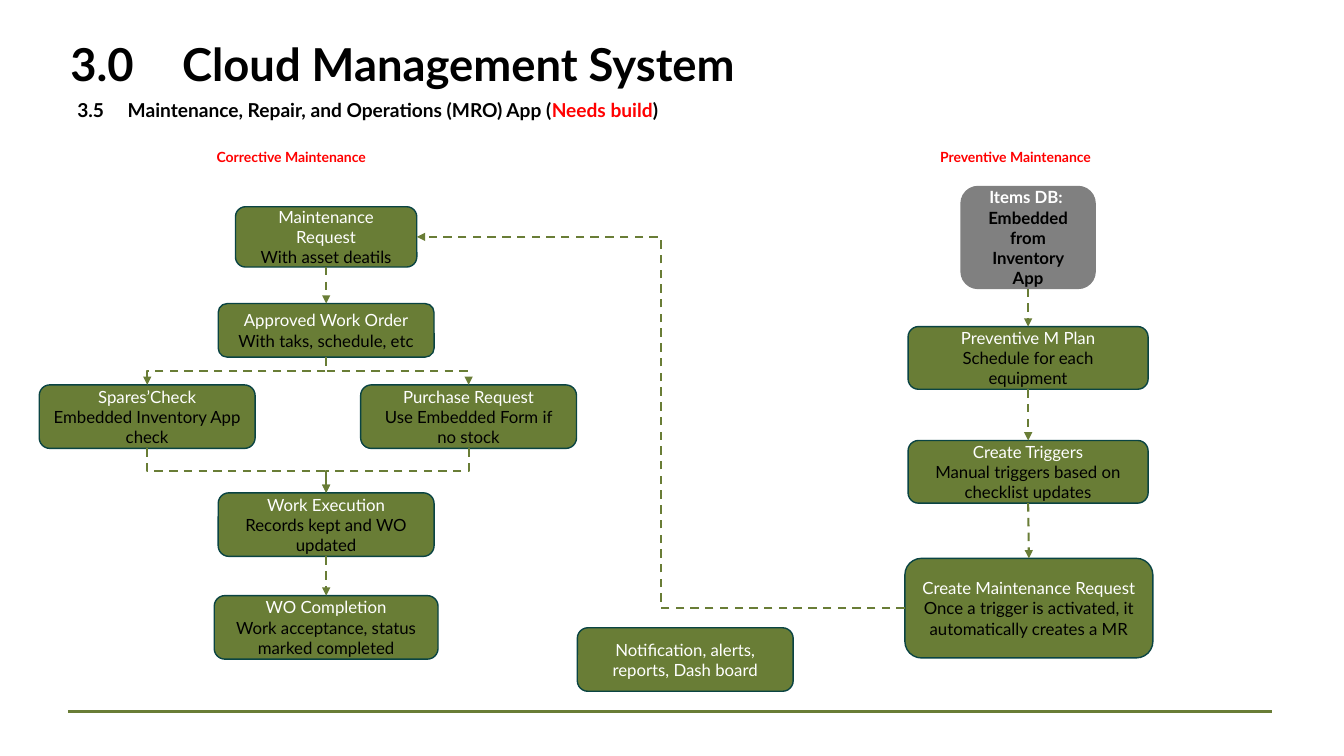
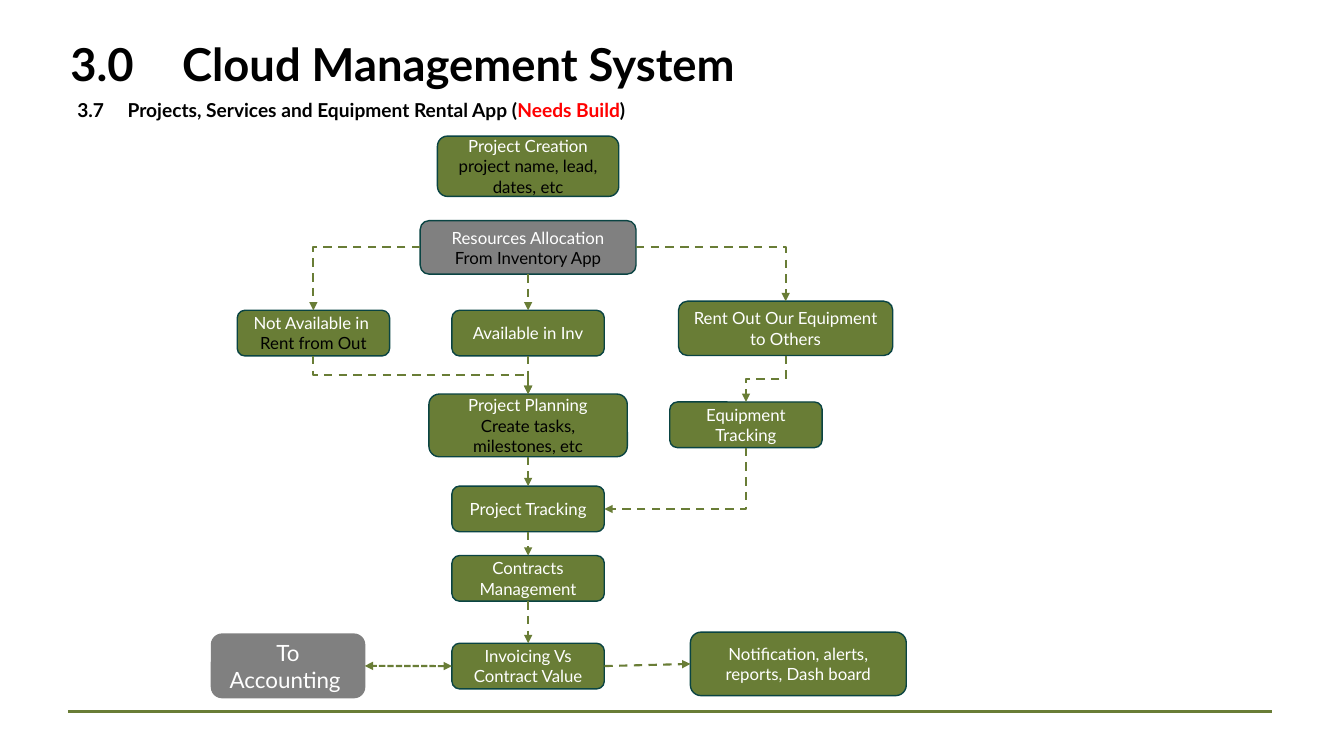
from lxml import etree
from pptx import Presentation
from pptx.dml.color import RGBColor
from pptx.enum import dml, shapes as sh, text as tx
from pptx.oxml.ns import qn
from pptx.util import Cm, Pt

FONT = "Lato"
HEX = {"green": "697D36", "teal": "0A4443", "gray": "808080",
       "white": "FFFFFF", "black": "000000", "red": "FF0000"}
TITLE = "3.0 \t Cloud Management System"
NOTE = ["Notification, alerts, reports, Dash board"]
SITES = "TLBR"

MRO = {
    "sub": ("3.5\tMaintenance, Repair, and Operations (MRO) App (", "Needs build", ")"),
    "labels": [(5.21, "Corrective Maintenance"), (23.44, "Preventive Maintenance")],
    "boxes": {
        "items": (25.91, 4.7, 3.38, 2.57, ["Items DB: ", "Embedded from Inventory App"],
                  {"fill": "gray", "edge": "gray", "bold": True}),
        "request": (8.22, 5.21, 4.57, 1.52, ["Maintenance Request", "With asset deatils"]),
        "order": (8.22, 7.65, 5.44, 1.35, ["Approved Work Order", "With taks, schedule, etc"]),
        "spares": (3.71, 9.7, 5.44, 1.6, ["Spares’Check", "Embedded Inventory App check"]),
        "buy": (11.81, 9.7, 5.44, 1.6, ["Purchase Request", "Use Embedded Form if no stock"]),
        "work": (8.22, 12.42, 5.44, 1.6, ["Work Execution", "Records kept and WO updated"]),
        "done": (8.22, 15.01, 5.64, 1.6,
                 ["WO Completion", "Work acceptance, status marked completed"]),
        "note": (17.27, 15.82, 5.44, 1.6, NOTE),
        "plan": (25.91, 8.23, 6.05, 1.58, ["Preventive M Plan", "Schedule for each equipment"]),
        "trigger": (25.91, 11.1, 6.05, 1.58,
                    ["Create Triggers", "Manual triggers based on checklist updates"]),
        "create": (25.93, 14.07, 6.25, 2.51,
                   ["Create Maintenance Request",
                    "Once a trigger is activated, it automatically creates a MR"]),
    },
    "links": [("request", "order", "BT"), ("order", "spares", "BT"), ("order", "buy", "BT"),
              ("spares", "work", "BT"), ("buy", "work", "BT"), ("work", "done", "BT"),
              ("items", "plan", "BT"), ("plan", "trigger", "BT"), ("trigger", "create", "BT"),
              ("create", "request", "LR")],
}

RENTAL = {
    "sub": ("3.7\tProjects, Services and Equipment Rental App (", "Needs Build", ")"),
    "labels": [],
    "boxes": {
        "start": (13.31, 3.43, 4.57, 1.52, ["Project Creation", "project name, lead, dates, etc"]),
        "stock": (13.31, 5.56, 5.44, 1.35, ["Resources Allocation", "From Inventory App"],
                  {"fill": "gray"}),
        "plan": (13.31, 9.93, 5, 1.58, ["Project Planning", "Create tasks, milestones, etc"]),
        "have": (13.31, 7.82, 3.84, 1.15, ["Available in Inv"]),
        "lack": (7.9, 7.82, 3.84, 1.15, ["Not Available in ", "Rent from Out"]),
        "rent": (19.8, 7.59, 5.4, 1.37, ["Rent Out Our Equipment to Others"]),
        "gear": (18.8, 10.13, 3.84, 1.15, ["Equipment Tracking"]),
        "track": (13.31, 12.25, 3.84, 1.15, ["Project Tracking"]),
        "deal": (13.31, 14, 3.84, 1.15, ["Contracts Management"]),
        "bill": (13.31, 16.21, 3.84, 1.15, ["Invoicing Vs Contract Value"]),
        "note": (20.12, 15.93, 5.44, 1.6, NOTE),
        "books": (7.26, 15.98, 3.86, 1.6, ["To Accounting "],
                  {"fill": "gray", "edge": "gray", "size": 16}),
    },
    "links": [("stock", "lack", "LT"), ("stock", "have", "BT"), ("stock", "rent", "RT"),
              ("lack", "plan", "BT"), ("have", "plan", "BT"), ("rent", "gear", "BT"),
              ("gear", "track", "BR"), ("plan", "track", "BT"), ("track", "deal", "BT"),
              ("deal", "bill", "BT"), ("bill", "note", "RL"), ("bill", "books", "LR", True)],
}


def rgb(name):
    return RGBColor.from_string(HEX[name])


def style(par, size, color, bold=False):
    for run in par.runs:
        run.font.name, run.font.size, run.font.bold = FONT, Pt(size), bold
        run.font.color.rgb = rgb(color)


def place(shape, *frame):
    shape.left, shape.top, shape.width, shape.height = map(Cm, frame)


def add_text(slide, frame, parts, size, colors):
    box = slide.shapes.add_textbox(*map(Cm, frame))
    box.text_frame.word_wrap = True
    par = box.text_frame.paragraphs[0]
    for part in parts:
        par.add_run().text = part
    style(par, size, "black", True)
    for run, color in zip(par.runs, colors):
        run.font.color.rgb = rgb(color)
    return par


def add_box(slide, mid, top, wide, high, lines, opts={}):
    box = slide.shapes.add_shape(sh.MSO_SHAPE.ROUNDED_RECTANGLE, Cm(mid - wide / 2),
                                 Cm(top), Cm(wide), Cm(high))
    box.shadow.inherit = False
    box.fill.solid()
    box.fill.fore_color.rgb = rgb(opts.get("fill", "green"))
    box.line.color.rgb = rgb(opts.get("edge", "teal"))
    box.line.width = Pt(1)
    frame = box.text_frame
    frame.text = "\n".join(lines)
    frame.vertical_anchor = tx.MSO_ANCHOR.MIDDLE
    for par, color in zip(frame.paragraphs, ("white", "black")):
        par.alignment = tx.PP_ALIGN.CENTER
        style(par, opts.get("size", 12), color, opts.get("bold", False))
    return box


def add_line(slide, kind, start, end, width):
    line = slide.shapes.add_connector(kind, *start, *end)
    line.line.color.rgb = rgb("green")
    line.line.width = Pt(width)
    etree.SubElement(line._element.spPr, qn("a:effectLst"))
    return line


def site(box, side):
    x = {"L": 0, "R": box.width}.get(side, box.width // 2)
    y = {"T": 0, "B": box.height}.get(side, box.height // 2)
    return box.left + x, box.top + y


def turn(line, start, end):
    (x1, y1), (x2, y2) = start, end
    wide, high = abs(y2 - y1), abs(x2 - x1)
    line.left, line.top = (x1 + x2 - wide) // 2, (y1 + y2 - high) // 2
    line.width, line.height = wide, high
    form = line._element.spPr.find(qn("a:xfrm"))
    form.set("rot", "5400000")
    form.set("flipH", "0")
    form.set("flipV", "1" if x2 > x1 else "0")


def add_link(slide, a, b, sides, both=False):
    start, end = site(a, sides[0]), site(b, sides[1])
    bent = min(abs(p - q) for p, q in zip(start, end)) > Cm(0.2)
    kind = sh.MSO_CONNECTOR.ELBOW if bent else sh.MSO_CONNECTOR.STRAIGHT
    line = add_line(slide, kind, start, end, 1.5)
    line.begin_connect(a, SITES.index(sides[0]))
    line.end_connect(b, SITES.index(sides[1]))
    down = sides[0] in "TB"
    if bent and down:
        turn(line, start, end)
    if bent and down != (sides[1] in "TB"):
        geom = line._element.spPr.find(qn("a:prstGeom"))
        geom.set("prst", "bentConnector2")
    style_id = dml.MSO_LINE.SQUARE_DOT if both else dml.MSO_LINE.DASH
    line.line.dash_style = style_id
    pen = line._element.spPr.find(qn("a:ln"))
    for tag in ("a:headEnd", "a:tailEnd")[0 if both else 1:]:
        etree.SubElement(pen, qn(tag), type="triangle")


def add_base(deck, sub):
    slide = deck.slides.add_slide(deck.slide_layouts[5])
    title = slide.shapes.title
    place(title, 1.52, 0.89, 29.59, 1.6)
    frame = title.text_frame
    frame.text = TITLE
    frame.auto_size = tx.MSO_AUTO_SIZE.NONE
    frame.vertical_anchor = tx.MSO_ANCHOR.MIDDLE
    head = frame.paragraphs[0]
    head.alignment, head.line_spacing = tx.PP_ALIGN.LEFT, 0.9
    style(head, 32.4, "black", True)
    par = add_text(slide, (1.7, 2.42, 21, 0.97), sub, 13.7, ("black", "red", "black"))
    par.line_spacing = 0.9
    add_line(slide, sh.MSO_CONNECTOR.STRAIGHT, (Cm(1.71), Cm(17.93)),
             (Cm(32.05), Cm(17.93)), 2)
    return slide


def main():
    deck = Presentation()
    deck.slide_width, deck.slide_height = Cm(33.87), Cm(19.05)
    for page in (MRO, RENTAL):
        slide = add_base(deck, page["sub"])
        for left, label in page["labels"]:
            add_text(slide, (left, 3.63, 4.95, 0.71), [label], 10, ["red"])
        boxes = {key: add_box(slide, *box) for key, box in page["boxes"].items()}
        for a, b, *rest in page["links"]:
            add_link(slide, boxes[a], boxes[b], *rest)
    deck.save("out.pptx")


if __name__ == "__main__":
    main()
